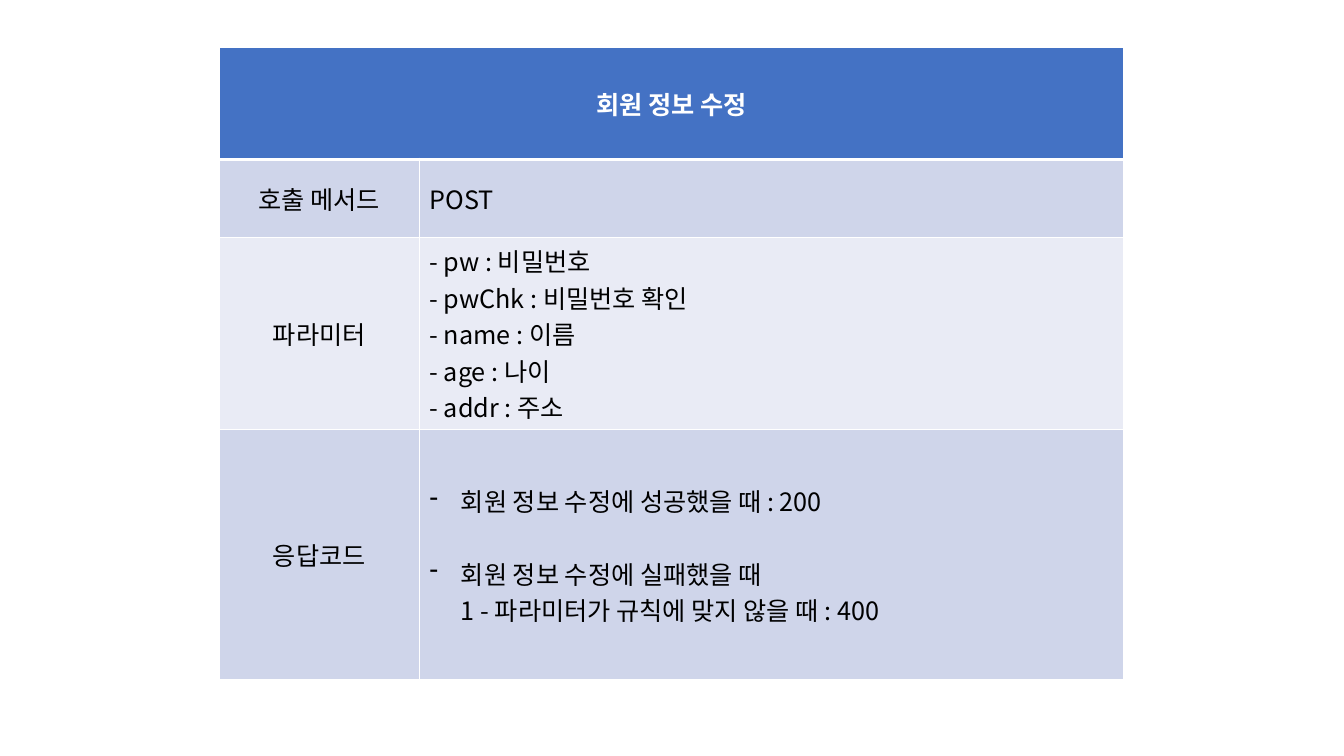
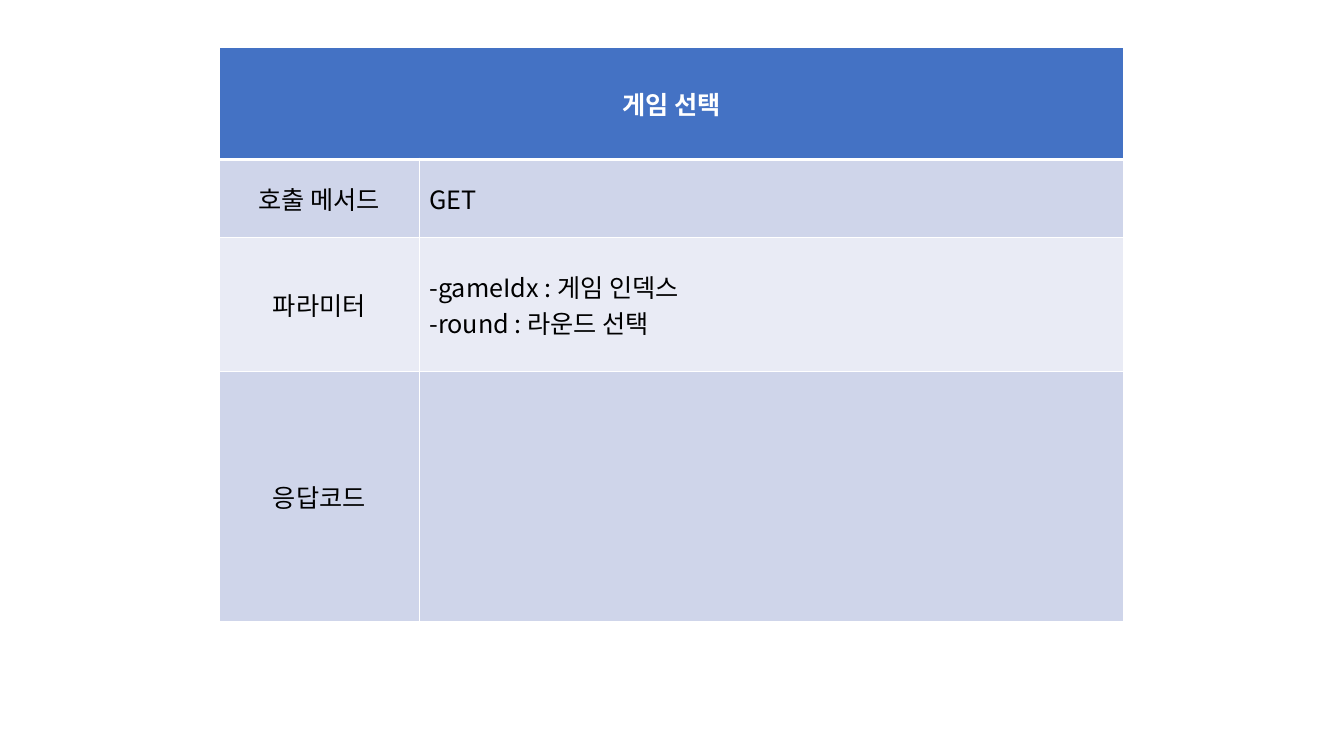
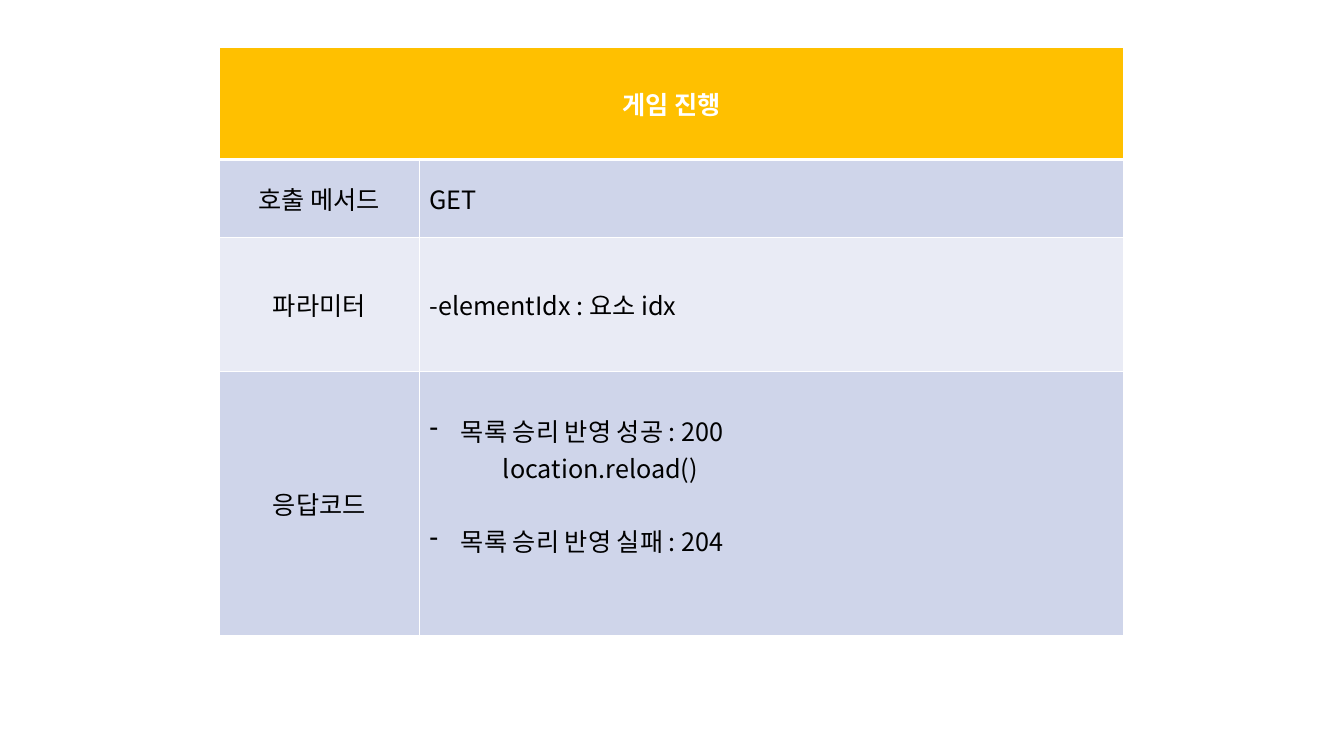
from dataclasses import dataclass

from lxml.etree import SubElement
from pptx import Presentation
from pptx.dml.color import RGBColor
from pptx.enum.text import MSO_ANCHOR as Anchor, PP_ALIGN as Align
from pptx.oxml.ns import qn
from pptx.slide import Slide
from pptx.table import _Cell as Cell
from pptx.util import Cm, Length, Pt

BLUE = RGBColor(0x44, 0x72, 0xC4)
AMBER = RGBColor(0xFF, 0xC0, 0x00)
BAND_DARK = RGBColor(0xCF, 0xD5, 0xEA)
BAND_LIGHT = RGBColor(0xE9, 0xEB, 0xF5)
WHITE = RGBColor(0xFF, 0xFF, 0xFF)
BLACK = RGBColor(0x00, 0x00, 0x00)

FONT = "Noto Sans CJK KR"
FONT_SIZE = Pt(18)
LINE_HEIGHT = Pt(26)
HANGING = Cm(0.79)
THIN, THICK = Pt(1), Pt(3)

TABLE_LEFT, TABLE_TOP = Cm(5.52), Cm(1.2)
COLUMN_WIDTHS = (Cm(5.05), Cm(17.75))
HEADER_HEIGHT, METHOD_HEIGHT = Cm(2.82), Cm(1.96)
LABELS = ("호출 메서드", "파라미터", "응답코드")
BANDS = (BAND_DARK, BAND_LIGHT, BAND_DARK)


@dataclass(frozen=True)
class Line:
    text: str
    bullet: bool = False
    indent: Length = Cm(0)
    space_before: Length = Pt(0)


@dataclass(frozen=True)
class Endpoint:
    title: str
    method: str
    parameters: tuple[str, ...]
    responses: tuple[Line, ...] = ()
    header_color: RGBColor = BLUE
    parameter_height: Length = Cm(3.38)
    response_height: Length = Cm(6.3)
    response_lift: Length = Pt(0)


ENDPOINTS = (
    Endpoint(
        "회원 정보 수정",
        "POST",
        ("- pw : 비밀번호", "- pwChk : 비밀번호 확인", "- name : 이름", "- age : 나이", "- addr : 주소"),
        (
            Line("회원 정보 수정에 성공했을 때 : 200", bullet=True),
            Line(
                "회원 정보 수정에 실패했을 때\v1 - 파라미터가 규칙에 맞지 않을 때 : 400",
                bullet=True,
                space_before=LINE_HEIGHT,
            ),
        ),
        parameter_height=Cm(4.84),
    ),
    Endpoint("게임 선택", "GET", ("-gameIdx : 게임 인덱스", "-round : 라운드 선택")),
    Endpoint(
        "게임 진행",
        "GET",
        ("-elementIdx : 요소 idx",),
        (
            Line("목록 승리 반영 성공 : 200", bullet=True),
            Line("location.reload()", indent=Cm(1.85)),
            Line("목록 승리 반영 실패 : 204", bullet=True, space_before=LINE_HEIGHT),
        ),
        header_color=AMBER,
        response_height=Cm(6.66),
        response_lift=LINE_HEIGHT,
    ),
)


def style_cell(cell: Cell, fill: RGBColor, top: Length = THIN, bottom: Length = THIN) -> None:
    properties = cell._tc.get_or_add_tcPr()
    for side, width in (("L", THIN), ("R", THIN), ("T", top), ("B", bottom)):
        border = SubElement(properties, qn(f"a:ln{side}"), w=str(int(width)))
        SubElement(SubElement(border, qn("a:solidFill")), qn("a:srgbClr"), val=str(WHITE))
    cell.fill.solid()
    cell.fill.fore_color.rgb = fill
    cell.vertical_anchor = Anchor.MIDDLE


def write_lines(
    cell: Cell,
    lines: tuple[Line, ...],
    align: Align = Align.LEFT,
    color: RGBColor = BLACK,
    bold: bool = False,
) -> None:
    frame = cell.text_frame
    for index, line in enumerate(lines):
        para = frame.add_paragraph() if index else frame.paragraphs[0]
        para.text = line.text
        para.alignment = align
        para.space_before = line.space_before
        para.font.name = FONT
        para.font.size = FONT_SIZE
        para.font.bold = bold
        para.font.color.rgb = color
        properties = para._p.get_or_add_pPr()
        defaults = properties.find(qn("a:defRPr"))
        east_asian = SubElement(defaults, qn("a:ea"), typeface=FONT)
        defaults.find(qn("a:latin")).addnext(east_asian)
        if line.bullet:
            properties.set("marL", str(int(HANGING)))
            properties.set("indent", str(-int(HANGING)))
            bullet = SubElement(properties, qn("a:buChar"), char="-")
            defaults.addprevious(bullet)
        elif line.indent:
            properties.set("marL", str(int(line.indent)))


def draw_endpoint(page: Slide, endpoint: Endpoint) -> None:
    heights = (HEADER_HEIGHT, METHOD_HEIGHT, endpoint.parameter_height, endpoint.response_height)
    table = page.shapes.add_table(
        len(heights), len(COLUMN_WIDTHS), TABLE_LEFT, TABLE_TOP, sum(COLUMN_WIDTHS), sum(heights)
    ).table
    for column, width in zip(table.columns, COLUMN_WIDTHS):
        column.width = width
    for row, height in zip(table.rows, heights):
        row.height = height

    header = table.cell(0, 0)
    header.merge(table.cell(0, 1))
    for cell in table.rows[0].cells:
        style_cell(cell, endpoint.header_color, bottom=THICK)
    write_lines(header, (Line(endpoint.title),), Align.CENTER, WHITE, bold=True)

    contents = (
        (Line(endpoint.method),),
        tuple(Line(text) for text in endpoint.parameters),
        endpoint.responses,
    )
    for index, (label, band, lines) in enumerate(zip(LABELS, BANDS, contents), start=1):
        for cell in table.rows[index].cells:
            style_cell(cell, band, top=THICK if index == 1 else THIN)
        write_lines(table.cell(index, 0), (Line(label),), Align.CENTER)
        write_lines(table.cell(index, 1), lines)

    response = table.cell(len(LABELS), 1)
    response.margin_bottom = response.margin_bottom + endpoint.response_lift


def main() -> None:
    deck = Presentation()
    deck.slide_width, deck.slide_height = Cm(33.87), Cm(19.05)
    blank = deck.slide_layouts[6]
    for endpoint in ENDPOINTS:
        draw_endpoint(deck.slides.add_slide(blank), endpoint)
    deck.save("out.pptx")


if __name__ == "__main__":
    main()
